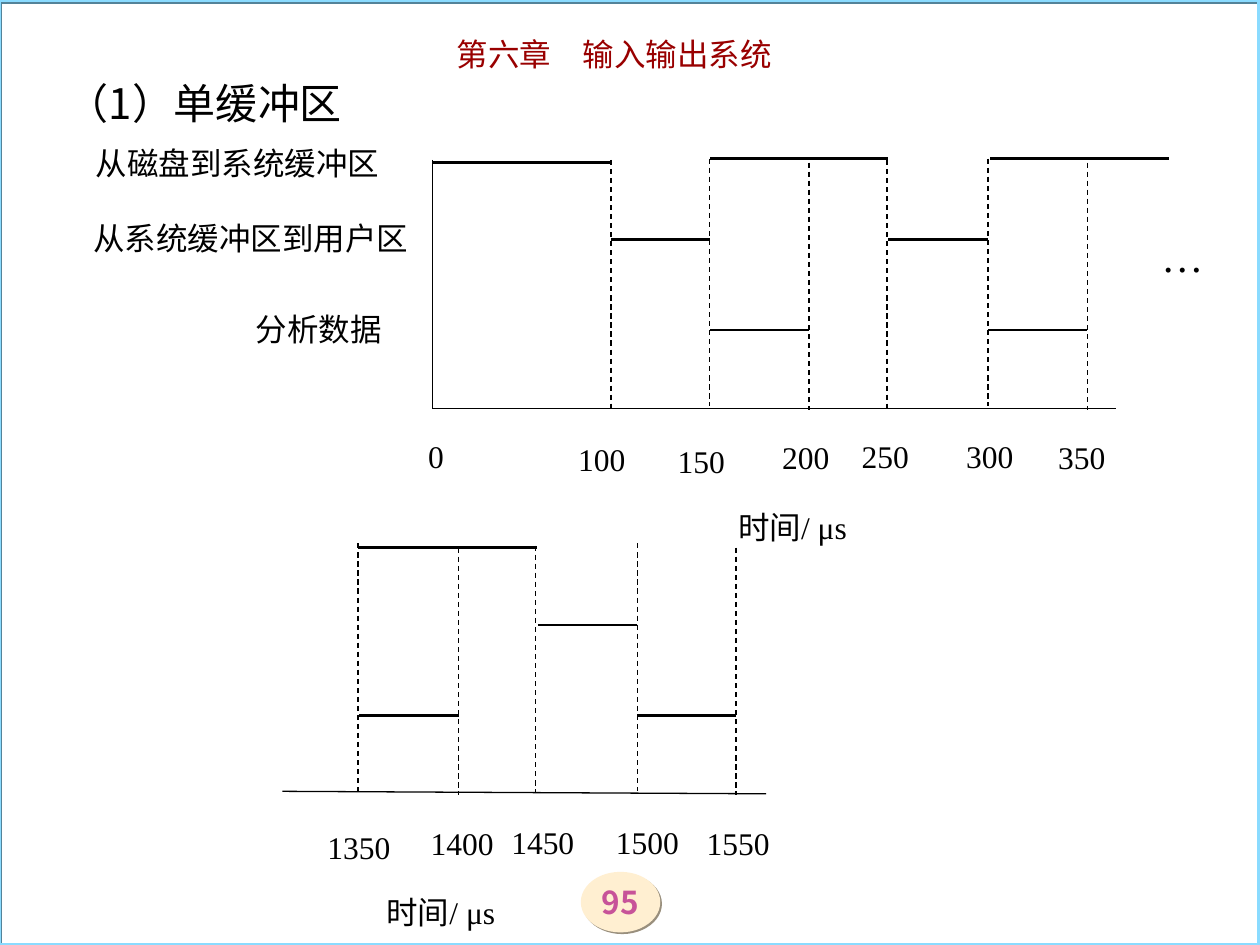
from lxml.etree import SubElement
from pptx import Presentation
from pptx.dml.color import RGBColor
from pptx.enum.dml import MSO_LINE
from pptx.enum.shapes import MSO_CONNECTOR, MSO_SHAPE
from pptx.enum.text import MSO_ANCHOR, PP_ALIGN
from pptx.oxml.ns import qn
from pptx.util import Pt

SANS = "Noto Sans CJK SC"
SERIF = "Times New Roman"
DROP = 141.5


def color(code):
    return RGBColor.from_string(code)


def write(frame, text, size=18, font=SERIF, asian=SANS, ink="000000", bold=False,
          align=PP_ALIGN.LEFT, anchor=MSO_ANCHOR.TOP, space=None):
    frame.word_wrap = True
    frame.vertical_anchor = anchor
    line = frame.paragraphs[0]
    line.alignment = align
    if space:
        line.line_spacing = space
    run = line.add_run()
    run.text = text
    run.font.size = Pt(size)
    run.font.bold = bold
    run.font.name = font
    run.font.color.rgb = color(ink)
    SubElement(run._r.get_or_add_rPr(), qn("a:ea"), typeface=asian)


def label(slide, text, left, top, width, height=28.8, **style):
    box = slide.shapes.add_textbox(Pt(left), Pt(top), Pt(width), Pt(height))
    write(box.text_frame, text, **style)


def stroke(slide, x1, y1, x2, y2, width=0.75, dash=False):
    line = slide.shapes.add_connector(
        MSO_CONNECTOR.STRAIGHT, Pt(x1), Pt(y1), Pt(x2), Pt(y2))
    line.line.color.rgb = color("000000")
    line.line.width = Pt(width)
    if dash:
        line.line.dash_style = MSO_LINE.DASH
    SubElement(line._element.spPr, qn("a:effectLst"))


def shade(shape, code):
    shape.shadow.inherit = False
    effects = shape._element.spPr.find(qn("a:effectLst"))
    outer = SubElement(effects, qn("a:outerShdw"), blurRad="0",
                       dist=str(int(Pt(1.4))), dir="2700000", algn="ctr", rotWithShape="0")
    SubElement(outer, qn("a:srgbClr"), val=code)


def border(slide):
    shape = slide.shapes.add_shape(MSO_SHAPE.RECTANGLE, Pt(-0.7), Pt(0), Pt(720), Pt(540))
    shape.fill.background()
    shape.line.color.rgb = color("8ADBFF")
    shape.line.width = Pt(2.25)
    shade(shape, "538399")


def badge(slide, text):
    shape = slide.shapes.add_shape(MSO_SHAPE.OVAL, Pt(331.9), Pt(498.2), Pt(45.4), Pt(34.6))
    shape.fill.solid()
    shape.fill.fore_color.rgb = color("FFEFD1")
    shape.line.fill.background()
    shade(shape, "998F7D")
    frame = shape.text_frame
    frame.margin_left = frame.margin_right = frame.margin_top = frame.margin_bottom = 0
    write(frame, text, font=SANS, ink="C75399", bold=True,
          align=PP_ALIGN.CENTER, anchor=MSO_ANCHOR.MIDDLE)


def chart(slide, axis, marks, bars, ticks):
    stroke(slide, *axis)
    for x, top in marks:
        stroke(slide, x, top, x, top + DROP, dash=True)
    for x1, x2, y in bars:
        stroke(slide, x1, y, x2, y, width=1.5)
    for text, left, top in ticks:
        label(slide, text, left, top, 14.4 + 11 * len(text))


def main():
    deck = Presentation()
    deck.slide_width, deck.slide_height = Pt(720), Pt(540)
    slide = deck.slides.add_slide(deck.slide_layouts[6])

    border(slide)
    badge(slide, "95")
    label(slide, "第六章　输入输出系统", 149.8, 16.6, 402.5, font="Noto Sans CJK JP",
          asian="Noto Sans CJK JP", ink="990000", align=PP_ALIGN.CENTER)
    label(slide, "（1）单缓冲区", 31, 28.8, 646.6, 45.4, size=24, font=SANS,
          anchor=MSO_ANCHOR.MIDDLE, space=1.5)

    for text, left, top, width in [("从磁盘到系统缓冲区", 47.5, 78.5, 181.4),
                                   ("从系统缓冲区到用户区", 46.1, 121.7, 200.9),
                                   ("分析数据", 139, 173.5, 90.7),
                                   ("时间/ μs", 414.7, 286.6, 100),
                                   ("时间/ μs", 213.8, 506.9, 100)]:
        label(slide, text, left, top, width)
    label(slide, "…", 656.6, 128.2, 45.4, 36, size=24)

    stroke(slide, 247, 91.4, 247, 233.3)
    chart(slide, (247, 233.3, 638, 233.3),
          [(349.2, 91.4), (405.3, 90.7), (462.3, 92.9), (506.9, 91.4),
           (564.5, 90.7), (621.4, 92.9)],
          [(247, 349.2, 92.9), (406, 507.6, 90.7), (566, 668.2, 90.7),
           (349.2, 406, 136.8), (507.6, 564.5, 136.8),
           (406, 462.3, 188.7), (564.5, 621.4, 188.7)],
          [("0", 237.6, 246.2), ("100", 323.3, 247.7), ("150", 380.2, 249.1),
           ("200", 439.9, 247), ("250", 485.3, 246.2), ("300", 545, 246.2),
           ("350", 597.6, 247)])
    chart(slide, (161.3, 452.2, 437.8, 453.6),
          [(204.5, 310.5), (262.1, 313), (306, 311.8), (364.3, 310.5), (420.5, 313)],
          [(204.5, 306.7, 313), (307.4, 364.3, 357.1),
           (205.2, 262.1, 409), (364.3, 420.5, 409)],
          [("1350", 180, 469.4), ("1400", 239, 467.3), ("1450", 285.1, 466.6),
           ("1500", 344.9, 466.6), ("1550", 396.7, 467.3)])

    deck.save("out.pptx")


if __name__ == "__main__":
    main()
